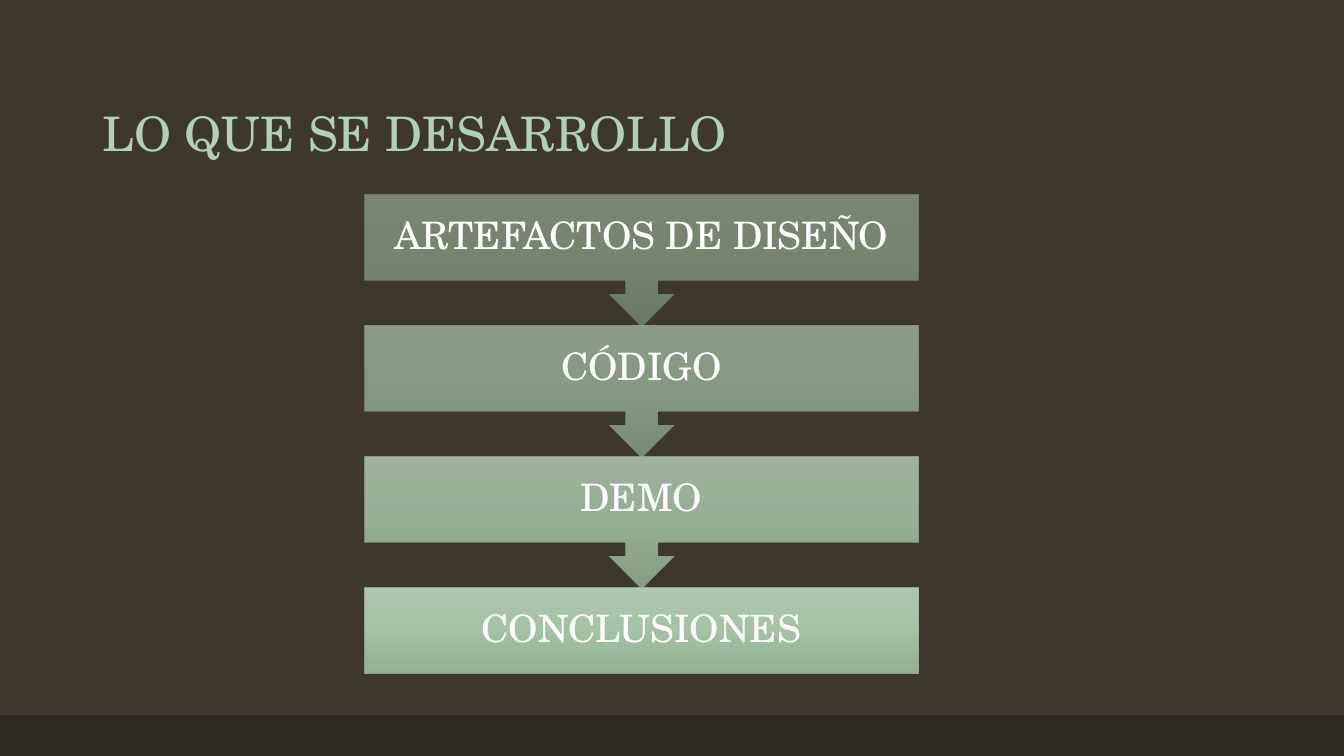
from pptx import Presentation
from pptx.dml.color import RGBColor
from pptx.enum.shapes import MSO_SHAPE
from pptx.enum.text import MSO_ANCHOR, PP_ALIGN
from pptx.oxml import parse_xml
from pptx.oxml.ns import nsdecls
from pptx.util import Cm, Pt

FONT = "TeX Gyre Schola"
COLORS = {
    "back": "3D372E",
    "band": "2E2923",
    "title": "B2D0B4",
    "text": "FFFFFF",
    "light": "BCD6BE",
    "mid": "B0D2B3",
    "dark": "9BBC9D",
}
STOPS = {0: "light", 50: "mid", 100: "dark"}
# Each step with its opacity in percent
STEPS = [("ARTEFACTOS DE DISEÑO", 50), ("CÓDIGO", 63), ("DEMO", 77), ("CONCLUSIONES", 90)]

LEFT, TOP, WIDTH = 9.18, 4.9, 13.97
PITCH, BOX, CALL = 3.3, 2.17, 3.33


def color(name):
    return RGBColor.from_string(COLORS[name])


def apply(item, form):
    for key, value in form.items():
        setattr(item, key, value)


def write(shape, text, size, tint, frame, para):
    body = shape.text_frame
    apply(body, {"word_wrap": True, **frame})
    line = body.paragraphs[0]
    apply(line, {"line_spacing": 0.9, **para})
    run = line.add_run()
    run.text = text
    apply(run.font, {"name": FONT, "size": Pt(size)})
    run.font.color.rgb = color(tint)


def add_block(slide, kind, left, top, width, height):
    """Add a preset shape without outline or shadow."""
    area = map(Cm, (left, top, width, height))
    shape = slide.shapes.add_shape(kind, *area)
    shape.shadow.inherit = False
    shape.line.fill.background()
    return shape


def shade(shape, alpha):
    """Fill from top to bottom with a translucent gradient."""
    stops = "".join(
        f'<a:gs pos="{pos * 1000}"><a:srgbClr val="{COLORS[name]}">'
        f'<a:alpha val="{alpha * 1000}"/></a:srgbClr></a:gs>'
        for pos, name in STOPS.items()
    )
    fill = parse_xml(
        f'<a:gradFill {nsdecls("a")} rotWithShape="1"><a:gsLst>{stops}</a:gsLst>'
        '<a:lin ang="5400000" scaled="0"/></a:gradFill>'
    )
    shape._element.spPr.prstGeom.addnext(fill)


def add_title(slide, text):
    box = slide.shapes.add_textbox(Cm(2.34), Cm(1.02), Cm(27.94), Cm(3.18))
    write(box, text, 34, "title", {"vertical_anchor": MSO_ANCHOR.BOTTOM}, {})


def add_step(slide, index):
    text, alpha = STEPS[index]
    last = index == len(STEPS) - 1
    kind = MSO_SHAPE.RECTANGLE if last else MSO_SHAPE.DOWN_ARROW_CALLOUT
    height = BOX if last else CALL
    shape = add_block(slide, kind, LEFT, TOP + index * PITCH, WIDTH, height)
    shade(shape, alpha)
    frame = {f"margin_{side}": Cm(0.53) for side in ("left", "top", "right", "bottom")}
    frame["vertical_anchor"] = MSO_ANCHOR.MIDDLE
    write(shape, text, 27, "text", frame, {"alignment": PP_ALIGN.CENTER})


def main():
    deck = Presentation()
    apply(deck, {"slide_width": Cm(33.87), "slide_height": Cm(19.05)})
    slide = deck.slides.add_slide(deck.slide_layouts[6])
    back = slide.background.fill
    back.solid()
    back.fore_color.rgb = color("back")

    band = add_block(slide, MSO_SHAPE.RECTANGLE, 0, 18.03, 33.87, 1.02)
    band.fill.solid()
    band.fill.fore_color.rgb = color("band")

    add_title(slide, "LO QUE SE DESARROLLO")
    for index in reversed(range(len(STEPS))):
        add_step(slide, index)
    deck.save("out.pptx")


if __name__ == "__main__":
    main()
